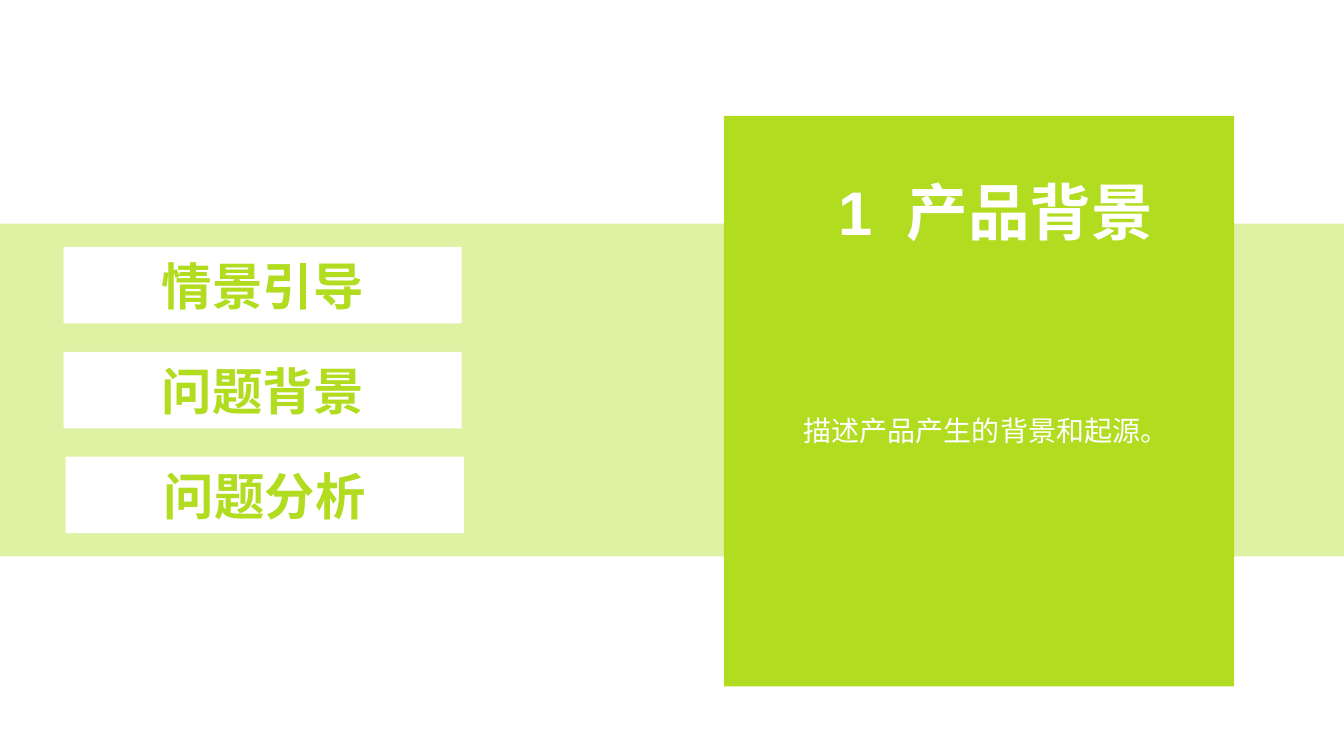
import pptx
import pptx.dml.color
import pptx.enum.shapes
import pptx.enum.text
import pptx.oxml.ns
import pptx.util
from lxml import etree

Inches = pptx.util.Inches
Pt = pptx.util.Pt
PP_ALIGN = pptx.enum.text.PP_ALIGN
MSO_ANCHOR = pptx.enum.text.MSO_ANCHOR
COLORS = {"lime": "B1DC20", "pale": "DFF2A4", "white": "FFFFFF"}
CHINESE_FONT = "Noto Sans CJK SC"

prs = pptx.Presentation()
prs.slide_width, prs.slide_height = Inches(13.33), Inches(7.5)
slide = prs.slides.add_slide(prs.slide_layouts[5])


def add_block(left, top, width, height, color):
    block = slide.shapes.add_shape(
        pptx.enum.shapes.MSO_SHAPE.RECTANGLE,
        Inches(left), Inches(top), Inches(width), Inches(height))
    block.shadow.inherit = False
    block.fill.solid()
    block.fill.fore_color.rgb = pptx.dml.color.RGBColor.from_string(COLORS[color])
    block.line.fill.background()
    return block


def style_text(frame, size, color, latin, bold=False):
    """Centre the first paragraph and format its runs for Latin and Chinese."""
    frame.word_wrap = True
    paragraph = frame.paragraphs[0]
    paragraph.alignment = PP_ALIGN.CENTER
    for run in paragraph.runs:
        run.font.size = Pt(size)
        run.font.bold = bold
        run.font.color.rgb = pptx.dml.color.RGBColor.from_string(COLORS[color])
        run.font.name = latin
        east_asian = etree.Element(pptx.oxml.ns.qn("a:ea"), typeface=CHINESE_FONT)
        run.font.fill  # fill precedes the font elements
        run.font._element.find(pptx.oxml.ns.qn("a:latin")).addnext(east_asian)


# Band and section panel
add_block(0, 2.22, 13.33, 3.3, "pale")
add_block(7.18, 1.15, 5.06, 5.66, "lime")

# Section description
description = slide.shapes.add_textbox(
    Inches(7.77), Inches(3.89), Inches(4.02), Inches(0.61))
description.text_frame.text = "描述产品产生的背景和起源。"
style_text(description.text_frame, 20, "white", "Arial")
description.text_frame.paragraphs[0].line_spacing = 1.5

# Section title, raised above the panel
title = slide.shapes.title
title.left, title.top = Inches(7.77), Inches(1.68)
title.width, title.height = Inches(4.21), Inches(0.84)
title.text_frame.auto_size = pptx.enum.text.MSO_AUTO_SIZE.NONE
title.text_frame.vertical_anchor = MSO_ANCHOR.TOP
heading = title.text_frame.paragraphs[0]
for part in ("1 ", "产品背景"):
    heading.add_run().text = part
style_text(title.text_frame, 44, "white", "Arial", bold=True)
# Letter spacing widens the gap after the number
heading.runs[0].font._element.set("spc", "600")
slide.shapes._spTree.append(title.element)

# Topics of the section
topics = [("情景引导", 0.63), ("问题背景", 0.63), ("问题分析", 0.65)]
for row, (topic, left) in enumerate(topics):
    label = add_block(left, 2.45 + row * 1.04, 3.95, 0.76, "white")
    label.text_frame.text = topic
    label.text_frame.vertical_anchor = MSO_ANCHOR.MIDDLE
    style_text(label.text_frame, 36, "lime", CHINESE_FONT, bold=True)

prs.save("out.pptx")
